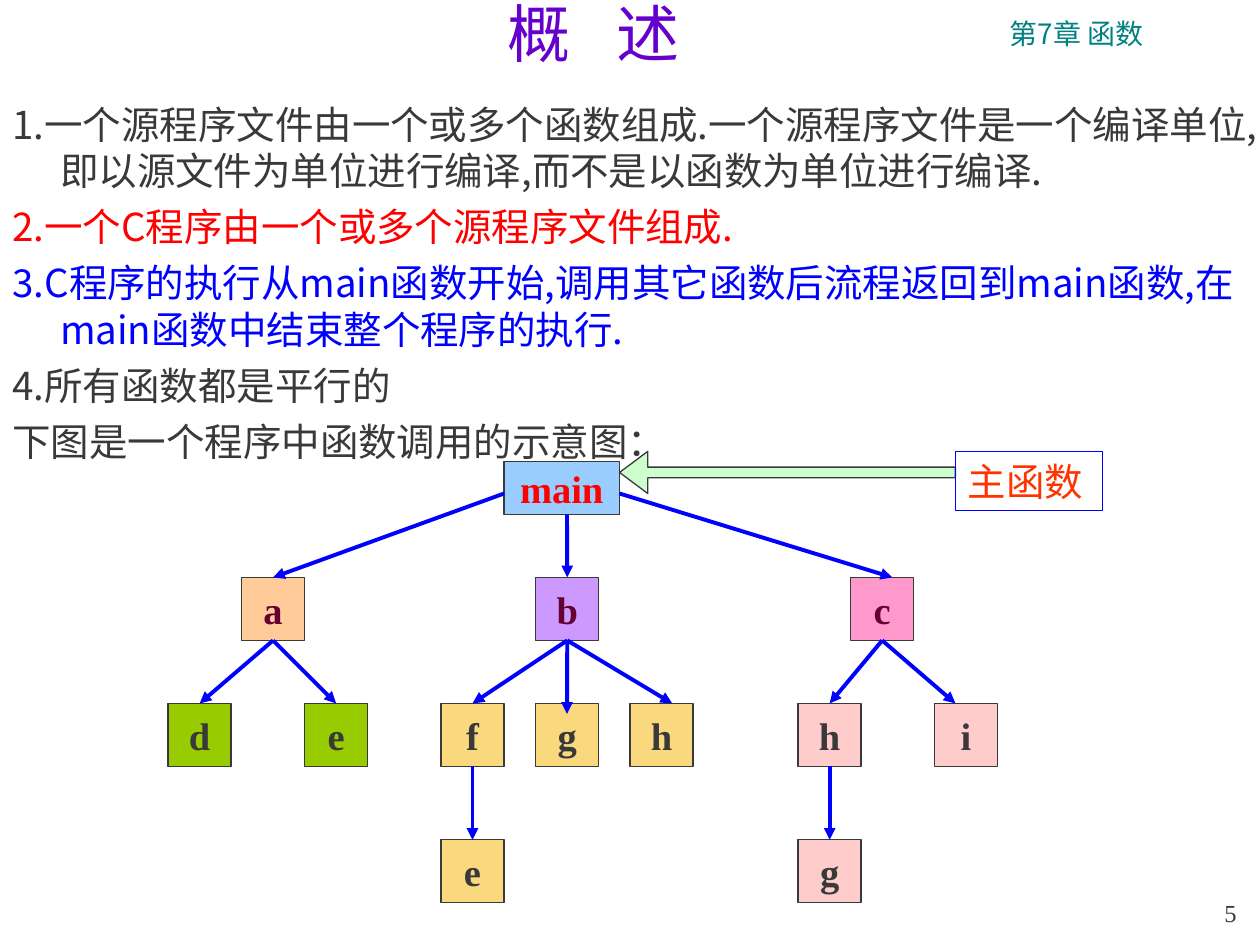
from lxml import etree
from pptx import Presentation
from pptx.dml.color import RGBColor
from pptx.enum.shapes import MSO_CONNECTOR, MSO_SHAPE
from pptx.enum.text import MSO_ANCHOR, MSO_AUTO_SIZE, PP_ALIGN
from pptx.oxml.ns import qn
from pptx.util import Cm, Pt

RECTANGLE = MSO_SHAPE.RECTANGLE
LEFT_ARROW = MSO_SHAPE.LEFT_ARROW
STRAIGHT = MSO_CONNECTOR.STRAIGHT
TOP, MIDDLE, BOTTOM = MSO_ANCHOR.TOP, MSO_ANCHOR.MIDDLE, MSO_ANCHOR.BOTTOM
LEFT, CENTER, RIGHT = PP_ALIGN.LEFT, PP_ALIGN.CENTER, PP_ALIGN.RIGHT
NO_AUTOFIT = MSO_AUTO_SIZE.NONE

SERIF = "Times New Roman"
SANS = "Noto Sans CJK SC"
HEADER_FONT = "Noto Sans CJK JP"
INK, BLUE, RED, WINE = "393939", "0000FF", "FF0000", "660033"
GREEN, YELLOW, PINK = "99CC00", "F9D87E", "FFCCCC"

POINTS = [
    ("1.一个源程序文件由一个或多个函数组成.一个源程序文件是一个编译单位,即以源文件为单位进行编译,而不是以函数为单位进行编译.", INK, SANS),
    ("2.一个C程序由一个或多个源程序文件组成.", RED, SANS),
    ("3.C程序的执行从main函数开始,调用其它函数后流程返回到main函数,在main函数中结束整个程序的执行.", BLUE, SANS),
    ("4.所有函数都是平行的", INK, SANS),
    ("下图是一个程序中函数调用的示意图：", INK, SERIF),
]

NODE_SIZE = 1.27
ROW_CALLED, ROW_NESTED, ROW_DEEPEST = 11.64, 14.18, 16.93
NODES = {
    "a": ("a", 4.87, ROW_CALLED, "FFCC99", WINE),
    "b": ("b", 10.8, ROW_CALLED, "CC99FF", WINE),
    "c": ("c", 17.15, ROW_CALLED, "FF99CC", WINE),
    "a-d": ("d", 3.39, ROW_NESTED, GREEN, INK),
    "a-e": ("e", 6.14, ROW_NESTED, GREEN, INK),
    "b-f": ("f", 8.89, ROW_NESTED, YELLOW, INK),
    "b-g": ("g", 10.8, ROW_NESTED, YELLOW, INK),
    "b-h": ("h", 12.7, ROW_NESTED, YELLOW, INK),
    "c-h": ("h", 16.09, ROW_NESTED, PINK, INK),
    "c-i": ("i", 18.84, ROW_NESTED, PINK, INK),
    "f-e": ("e", 8.89, ROW_DEEPEST, YELLOW, INK),
    "h-g": ("g", 16.09, ROW_DEEPEST, PINK, INK),
}
CALLS = [
    ((10.16, 9.95), "a"), ((11.43, 10.37), "b"), ((12.49, 9.95), (17.99, ROW_CALLED)),
    ("a", "a-d"), ("a", "a-e"),
    ("b", "b-f"), ("b", (11.43, 14.39)), ("b", (13.55, ROW_NESTED)),
    ("c", "c-h"), ("c", (19.26, ROW_NESTED)),
    ("b-f", "f-e"), ("c-h", "h-g"),
]


def color(value):
    return RGBColor.from_string(value)


def apply(target, formats):
    for name, value in formats.items():
        setattr(target, name, value)


def add_span(para, text, size, ink, font=SERIF, bold=False):
    span = para.add_run()
    span.text = text
    apply(span.font, {"size": Pt(size), "name": font, "bold": bold})
    span.font.color.rgb = color(ink)
    east_asian = SANS if font == SERIF else font
    etree.SubElement(span.font._element, qn("a:ea"), typeface=east_asian)
    return span


def place(shape, left, top, width, height):
    apply(shape, {"left": Cm(left), "top": Cm(top), "width": Cm(width), "height": Cm(height)})


def set_frame(shape, anchor, wrap=True):
    frame = shape.text_frame
    apply(frame, {"auto_size": NO_AUTOFIT, "vertical_anchor": anchor, "word_wrap": wrap})
    return frame.paragraphs[0]


def add_label(page, text, area, anchor, align, size, ink, font):
    box = page.shapes.add_textbox(*map(Cm, area))
    para = set_frame(box, anchor)
    para.alignment = align
    add_span(para, text, size, ink, font)


def add_figure(page, kind, area, fill, line=INK):
    shape = page.shapes.add_shape(kind, *map(Cm, area))
    shape.shadow.inherit = False
    if fill:
        shape.fill.solid()
        shape.fill.fore_color.rgb = color(fill)
    else:
        shape.fill.background()
    shape.line.color.rgb = color(line)
    shape.line.width = Pt(0.75)
    return shape


def add_text_block(page, text, area, fill, ink, line=INK, align=CENTER, bold=True):
    block = add_figure(page, RECTANGLE, area, fill, line)
    para = set_frame(block, MIDDLE, wrap=False)
    para.alignment = align
    add_span(para, text, 22, ink, bold=bold)
    return block


def add_call(page, nodes, caller, callee):
    start = (0, 0) if caller in nodes else caller
    end = (0, 0) if callee in nodes else callee
    link = page.shapes.add_connector(STRAIGHT, *map(Cm, (*start, *end)))
    if caller in nodes:
        link.begin_connect(nodes[caller], 2)
    if callee in nodes:
        link.end_connect(nodes[callee], 0)
    link.line.color.rgb = color(BLUE)
    link.line.width = Pt(2.25)
    etree.SubElement(link.line._get_or_add_ln(), qn("a:tailEnd"), type="triangle")
    etree.SubElement(link._element.spPr, qn("a:effectLst"))


def fill_title(title):
    place(title, 1.9, -0.38, 20.12, 2.08)
    para = set_frame(title, MIDDLE)
    para.alignment = CENTER
    add_span(para, "概", 36, "6600CC")
    gap = add_span(para, " ", 36, "6600CC")
    gap.font._element.set("spc", "1800")
    add_span(para, "述", 36, "6600CC")


def fill_points(body):
    place(body, 0, 1.9, 25.4, 13.13)
    para = set_frame(body, TOP)
    for index, (text, ink, font) in enumerate(POINTS):
        if index:
            para = body.text_frame.add_paragraph()
        apply(para, {"alignment": LEFT, "space_before": Pt(5.5), "line_spacing": Pt(26.5)})
        properties = para._p.get_or_add_pPr()
        properties.set("marL", str(Cm(0.96)))
        properties.set("indent", str(Cm(-0.96)))
        etree.SubElement(properties, qn("a:buNone"))
        add_span(para, text, 22, ink, font)


def draw_call_tree(page):
    add_text_block(page, "main", (10.16, 9.31, 2.33, 1.06), "99CCFF", RED)
    nodes = {
        key: add_text_block(page, text, (left, top, NODE_SIZE, NODE_SIZE), fill, ink)
        for key, (text, left, top, fill, ink) in NODES.items()
    }
    for caller, callee in CALLS:
        add_call(page, nodes, caller, callee)
    pointer = add_figure(page, LEFT_ARROW, (12.49, 9.1, 6.77, 0.85), "CCFFCC")
    pointer.adjustments[0] = 0.25
    pointer.adjustments[1] = 0.67
    add_text_block(page, "主函数", (19.26, 9.1, 2.97, 1.19), None, "FF3300", BLUE, LEFT, False)


def main():
    deck = Presentation()
    apply(deck, {"slide_width": Cm(25.4), "slide_height": Cm(19.05)})
    page = deck.slides.add_slide(deck.slide_layouts[1])
    add_label(page, "第7章 函数", (18.2, 0.2, 7, 0.94), TOP, CENTER, 16, "008080", HEADER_FONT)
    add_label(page, "5", (23.7, 17.98, 1.48, 0.85), BOTTOM, RIGHT, 14, INK, SERIF)
    fill_title(page.shapes.title)
    fill_points(page.placeholders[1])
    draw_call_tree(page)
    deck.save("out.pptx")


if __name__ == "__main__":
    main()
